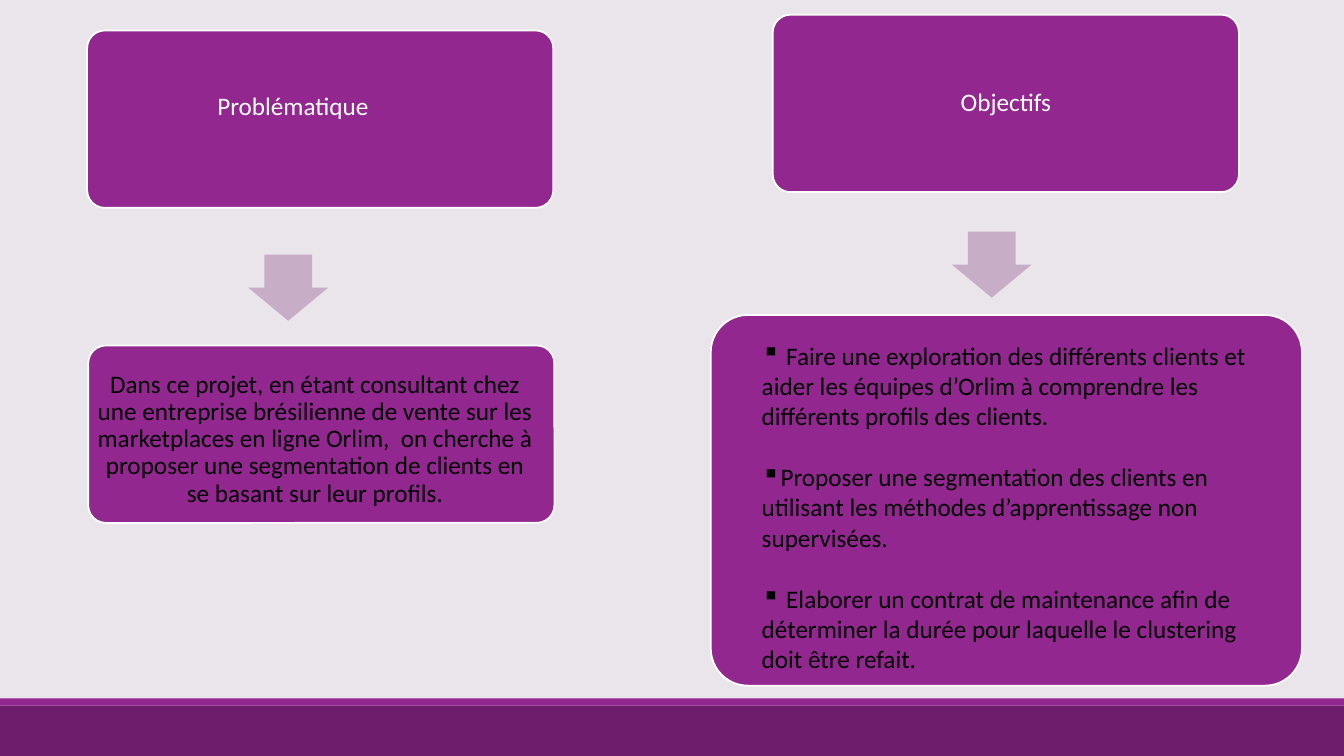
from lxml import etree
from pptx import Presentation
from pptx.dml.color import RGBColor
from pptx.enum.shapes import MSO_SHAPE
from pptx.enum.text import MSO_ANCHOR, PP_ALIGN
from pptx.oxml.ns import qn
from pptx.util import Pt

PX = 9525
RECT = MSO_SHAPE.RECTANGLE
ROUNDED = MSO_SHAPE.ROUNDED_RECTANGLE
ARROW = MSO_SHAPE.RIGHT_ARROW
TOP, MIDDLE = MSO_ANCHOR.TOP, MSO_ANCHOR.MIDDLE
LEFT, CENTER = PP_ALIGN.LEFT, PP_ALIGN.CENTER

LAVENDER = RGBColor(0xEA, 0xE5, 0xEB)
PURPLE = RGBColor(0x92, 0x27, 0x8F)
DARK_PURPLE = RGBColor(0x6D, 0x1D, 0x6B)
MAUVE = RGBColor(0xC7, 0xAD, 0xC6)
WHITE = RGBColor(0xFF, 0xFF, 0xFF)
BLACK = RGBColor(0, 0, 0)

presentation = Presentation()
presentation.slide_width = 1280 * PX
presentation.slide_height = 720 * PX
slide = presentation.slides.add_slide(presentation.slide_layouts[6])
slide.background.fill.solid()
slide.background.fill.fore_color.rgb = LAVENDER


def add_block(kind, box, color, adjustments=(), outlined=False):
    block = slide.shapes.add_shape(kind, *(length * PX for length in box))
    block.shadow.inherit = False
    block.fill.solid()
    block.fill.fore_color.rgb = color
    for index, adjustment in enumerate(adjustments):
        block.adjustments[index] = adjustment
    if outlined:
        block.line.color.rgb = WHITE
        block.line.width = Pt(1.25)
    else:
        block.line.fill.background()
    return block


def add_text(box, paragraphs, color, frame_format, paragraph_format):
    frame = slide.shapes.add_textbox(*(length * PX for length in box)).text_frame
    for name, value in frame_format.items():
        setattr(frame, name, value)
    frame.text = "\n".join(paragraphs)
    for paragraph in frame.paragraphs:
        for name, value in paragraph_format.items():
            setattr(paragraph, name, value)
        font_format = {"name": "Calibri", "size": Pt(18)}
        for name, value in font_format.items():
            setattr(paragraph.runs[0].font, name, value)
        paragraph.runs[0].font.color.rgb = color
    return frame


add_block(RECT, (0, 672, 1280, 48), DARK_PURPLE)
add_block(RECT, (0, 665, 1280, 7), PURPLE)

CARD_SIZE = (444, 169)
CARD_TEXT_SIZE = (434, 159)
card_frame = {"word_wrap": True, "vertical_anchor": MIDDLE}
for side in ("left", "top", "right", "bottom"):
    card_frame["margin_" + side] = 7 * PX
card_paragraph = {"alignment": CENTER, "line_spacing": 0.9}

project = (
    "Dans ce projet, en étant consultant chez une entreprise brésilienne de vente "
    "sur les marketplaces en ligne Orlim,  on cherche à proposer une segmentation "
    "de clients en se basant sur leur profils."
)
cards = [
    ((83, 29), (62, 23), "Problématique", WHITE),
    ((736, 14), (741, 19), "Objectifs", WHITE),
    ((84, 329), (83, 339), project, BLACK),
]
for card_at, text_at, wording, color in cards:
    add_block(ROUNDED, card_at + CARD_SIZE, PURPLE, (0.1,), outlined=True)
    add_text(text_at + CARD_TEXT_SIZE, [wording], color, card_frame, card_paragraph)

for arrow_at in ((243, 236), (913, 214)):
    arrow = add_block(ARROW, arrow_at + (63, 76), MAUVE, (0.6, 0.5))
    arrow.rotation = 90

objectives = [
    " Faire une exploration des différents clients et aider les équipes d’Orlim "
    "à comprendre les différents profils des clients.",
    "Proposer une segmentation des clients en utilisant les méthodes "
    "d’apprentissage non supervisées.",
    " Elaborer un contrat de maintenance afin de déterminer la durée pour "
    "laquelle le clustering doit être refait.",
]
add_block(ROUNDED, (677, 300, 563, 353), PURPLE, (0.1,), outlined=True)
objectives_frame = add_text(
    (716, 319, 503, 329),
    objectives,
    BLACK,
    {"word_wrap": True, "vertical_anchor": TOP},
    {"alignment": LEFT},
)
for position, objective in enumerate(objectives_frame.paragraphs):
    objective.space_before = Pt(22 if position else 0)
    properties = objective._p.get_or_add_pPr()
    etree.SubElement(properties, qn("a:buChar")).set("char", "▪")

presentation.save("out.pptx")
